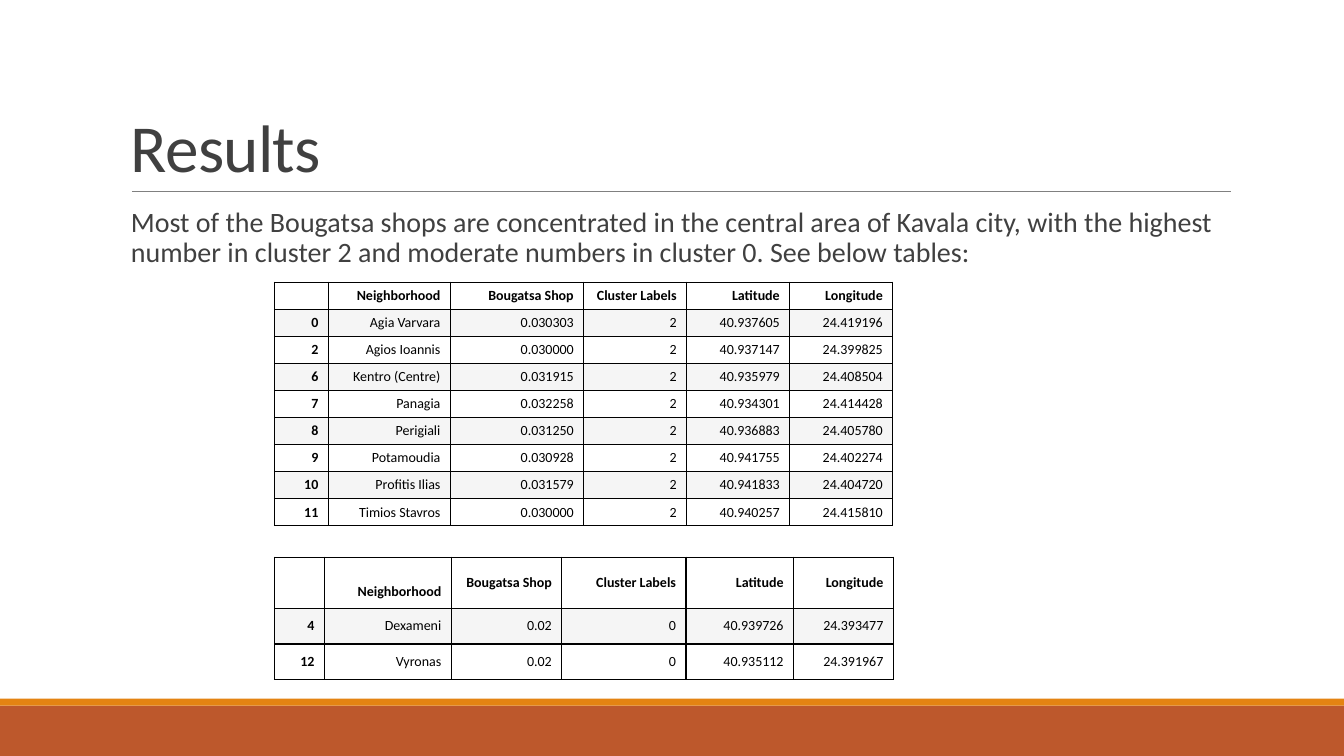
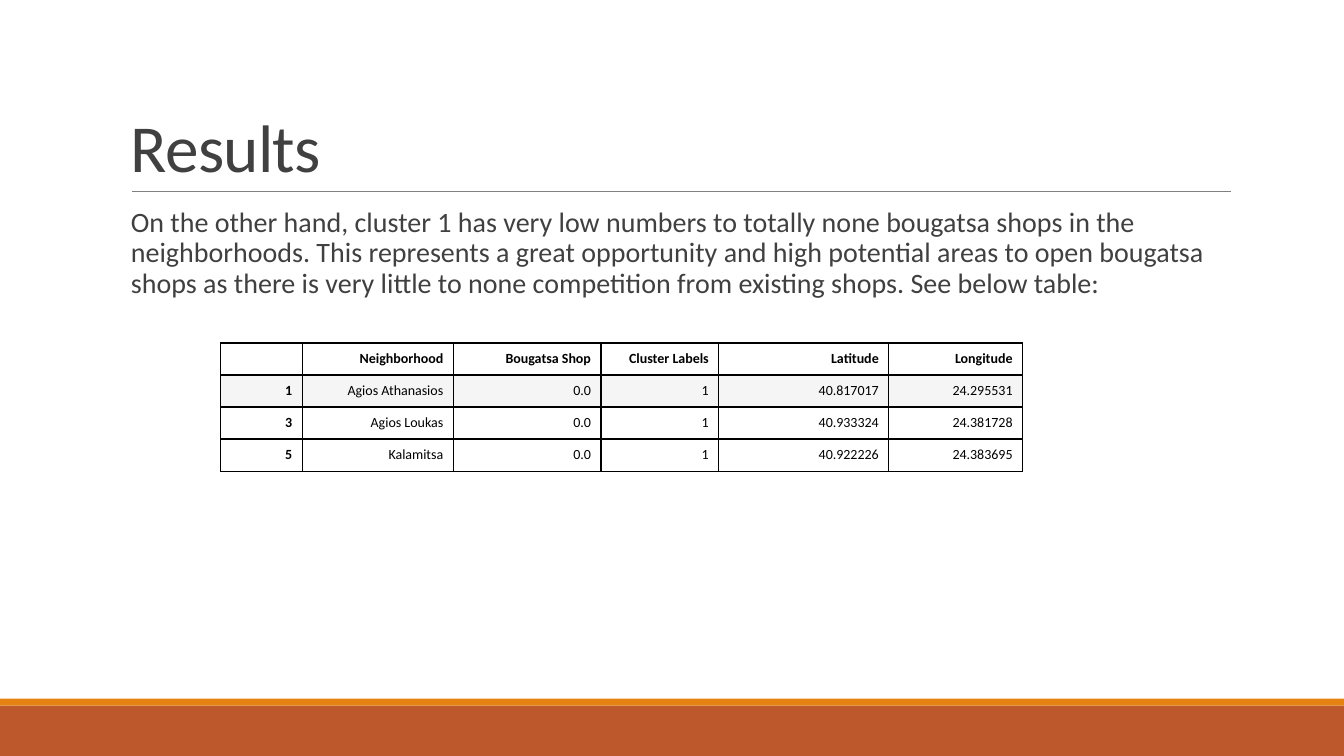
from lxml import etree
from pptx import Presentation
from pptx.dml.color import RGBColor
from pptx.enum import shapes, text
from pptx.oxml import ns
from pptx.util import Pt

RUST = RGBColor(0xBD, 0x58, 0x2C)
ORANGE = RGBColor(0xE4, 0x83, 0x12)
RULE = RGBColor(0x80, 0x80, 0x80)
INK = RGBColor(0x40, 0x40, 0x40)
BLACK = RGBColor(0, 0, 0)
WHITE = RGBColor(0xFF, 0xFF, 0xFF)
SHADE = RGBColor(0xF5, 0xF5, 0xF5)

HEADER = ["", "Neighborhood", "Bougatsa Shop", "Cluster Labels", "Latitude", "Longitude"]
CLUSTER_2 = [
    ["0", "Agia Varvara", "0.030303", "2", "40.937605", "24.419196"],
    ["2", "Agios Ioannis", "0.030000", "2", "40.937147", "24.399825"],
    ["6", "Kentro (Centre)", "0.031915", "2", "40.935979", "24.408504"],
    ["7", "Panagia", "0.032258", "2", "40.934301", "24.414428"],
    ["8", "Perigiali", "0.031250", "2", "40.936883", "24.405780"],
    ["9", "Potamoudia", "0.030928", "2", "40.941755", "24.402274"],
    ["10", "Profitis Ilias", "0.031579", "2", "40.941833", "24.404720"],
    ["11", "Timios Stavros", "0.030000", "2", "40.940257", "24.415810"],
]
CLUSTER_0 = [
    ["4", "Dexameni", "0.02", "0", "40.939726", "24.393477"],
    ["12", "Vyronas", "0.02", "0", "40.935112", "24.391967"],
]
CLUSTER_1 = [
    ["1", "Agios Athanasios", "0.0", "1", "40.817017", "24.295531"],
    ["3", "Agios Loukas", "0.0", "1", "40.933324", "24.381728"],
    ["5", "Kalamitsa", "0.0", "1", "40.922226", "24.383695"],
]


class Deck:
    font = "Calibri"
    width, height = 960, 540
    left, text_width = 86.4, 792

    def __init__(self):
        self.prs = Presentation()
        self.prs.slide_width, self.prs.slide_height = Pt(self.width), Pt(self.height)
        self.s = None

    def slide(self, title, body):
        self.s = self.prs.slides.add_slide(self.prs.slide_layouts[6])
        self.band(504, 36, RUST)
        self.band(499, 5, ORANGE)
        self.rule(94.3, 879, 136.8)
        r = self.textbox(title, 22.3, 114.5, 48, 0.85, text.MSO_ANCHOR.BOTTOM)
        r._r.get_or_add_rPr().set("spc", "-50")
        self.textbox(body, 145.4, 316.8, 20, 0.9, text.MSO_ANCHOR.TOP, right=0)

    def band(self, top, height, color):
        sp = self.s.shapes.add_shape(shapes.MSO_SHAPE.RECTANGLE, 0, Pt(top), Pt(self.width), Pt(height))
        sp.shadow.inherit = False
        sp.fill.solid()
        sp.fill.fore_color.rgb = color
        sp.line.fill.background()

    def rule(self, x1, x2, y):
        ln = self.s.shapes.add_connector(shapes.MSO_CONNECTOR.STRAIGHT, Pt(x1), Pt(y), Pt(x2), Pt(y))
        ln.line.color.rgb = RULE
        ln.line.width = Pt(0.5)
        etree.SubElement(ln._element.spPr, ns.qn("a:effectLst"))

    def style(self, r, size, color, bold=False):
        f = r.font
        f.name, f.size, f.bold = self.font, Pt(size), bold
        f.color.rgb = color

    def textbox(self, content, top, height, size, spacing, anchor, right=7.2):
        sp = self.s.shapes.add_textbox(Pt(self.left), Pt(top), Pt(self.text_width), Pt(height))
        tf = sp.text_frame
        tf.word_wrap = True
        tf.vertical_anchor = anchor
        tf.margin_left, tf.margin_right = Pt(7.2), Pt(right)
        tf.text = content
        p = tf.paragraphs[0]
        p.line_spacing = spacing
        r = p.runs[0]
        self.style(r, size, INK)
        return r

    def border(self, cell):
        tcPr = cell._tc.get_or_add_tcPr()
        for side in ("lnL", "lnR", "lnT", "lnB"):
            ln = etree.SubElement(tcPr, ns.qn(f"a:{side}"), w=str(Pt(1)))
            fill = etree.SubElement(ln, ns.qn("a:solidFill"))
            etree.SubElement(fill, ns.qn("a:srgbClr"), val=str(BLACK))

    def cell(self, cell, content, bold, color):
        self.border(cell)
        cell.fill.solid()
        cell.fill.fore_color.rgb = color
        cell.vertical_anchor = text.MSO_ANCHOR.MIDDLE
        cell.text_frame.text = content
        p = cell.text_frame.paragraphs[0]
        p.alignment = text.PP_ALIGN.RIGHT
        for r in p.runs:
            self.style(r, 10, BLACK, bold)
        if not content:
            etree.SubElement(p._p, ns.qn("a:endParaRPr"), sz="1000")

    def table(self, left, top, widths, rows, row_height, header_height=None, shaded=range(1, 99, 2)):
        rows = [HEADER] + rows
        heights = [header_height or row_height] + [row_height] * (len(rows) - 1)
        tbl = self.s.shapes.add_table(
            len(rows), len(widths), Pt(left), Pt(top), Pt(sum(widths)), Pt(sum(heights))).table
        for column, width in zip(tbl.columns, widths):
            column.width = Pt(width)
        for i, (row, height) in enumerate(zip(rows, heights)):
            tbl.rows[i].height = Pt(height)
            for j, content in enumerate(row):
                self.cell(tbl.cell(i, j), content, i == 0 or j == 0, SHADE if i in shaded else WHITE)
        return tbl


def main():
    deck = Deck()
    deck.slide("Results", "Most of the Bougatsa shops are concentrated in the central area of Kavala city, "
               "with the highest number in cluster 2 and moderate numbers in cluster 0. See below tables:")
    deck.table(196, 201.6, [38.6, 87.2, 95.2, 73.6, 73.6, 73.6], CLUSTER_2, 19.35)
    tbl = deck.table(196, 398, [35.8, 90.6, 79, 88.7, 76.8, 71.3], CLUSTER_0, 25.4, 36.6)
    tbl.cell(0, 1).margin_top = Pt(15.8)

    deck.slide("Results", "On the other hand, cluster 1 has very low numbers to totally none bougatsa shops "
               "in the neighborhoods. This represents a great opportunity and high potential areas to open "
               "bougatsa shops as there is very little to none competition from existing shops. "
               "See below table:")
    deck.table(157.6, 245, [58.2, 108, 105.5, 84.2, 121.4, 95.6], CLUSTER_1, 22.9, shaded=(1,))
    deck.prs.save("out.pptx")


if __name__ == "__main__":
    main()
